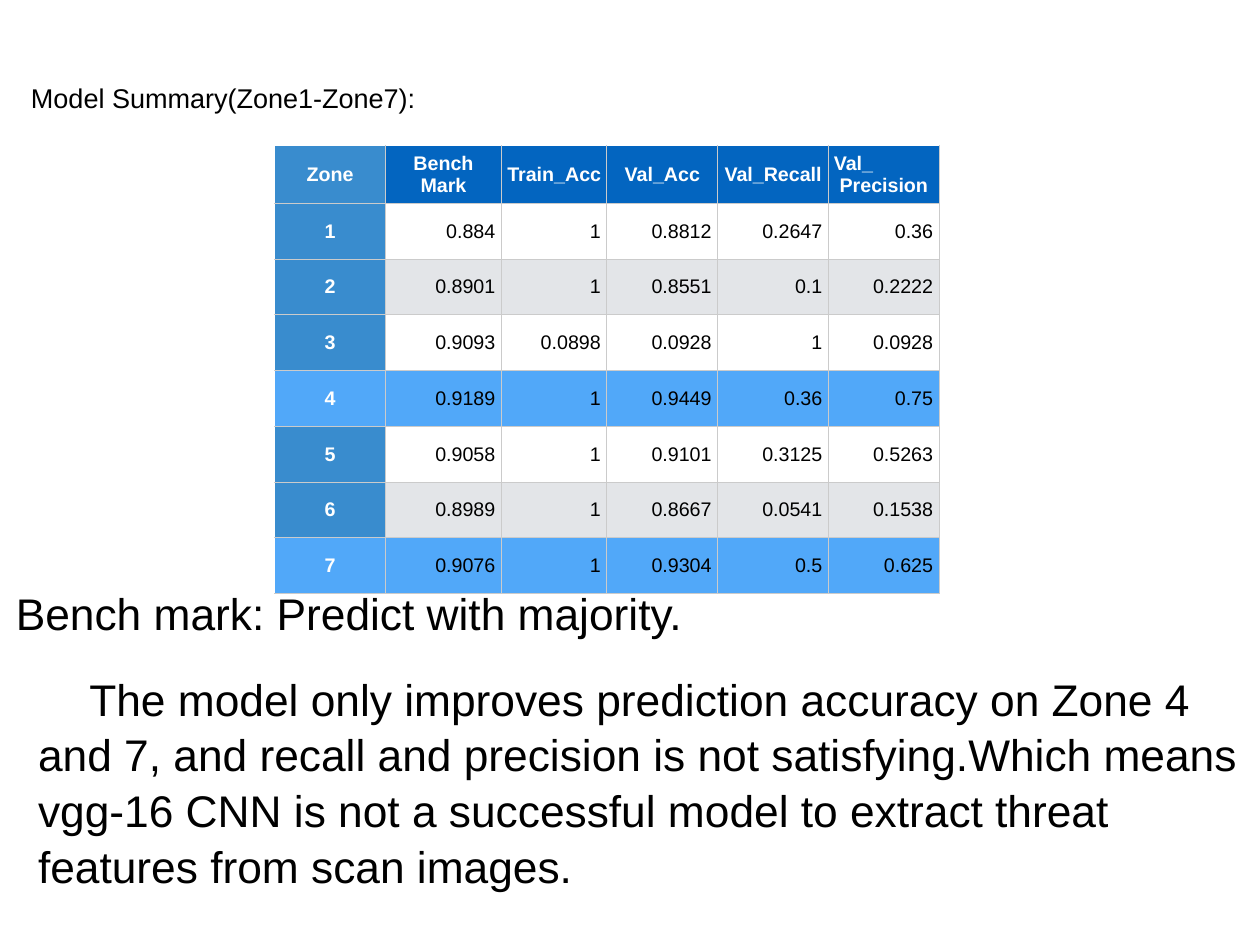
from lxml import etree
from pptx import Presentation, util as u
from pptx.dml.color import RGBColor
from pptx.enum.text import MSO_ANCHOR, PP_ALIGN
from pptx.oxml import ns

WIDE, HIGH = 14.22, 10.67
FONT = "Arial"
BLACK, WHITE, GRAY = "000000", "FFFFFF", "E3E5E8"
NAVY, BLUE, LIGHT, RULE = "0365C0", "398CCE", "51A8F9", "CBCBCB"
LEFT, MID, RIGHT = PP_ALIGN.LEFT, PP_ALIGN.CENTER, PP_ALIGN.RIGHT
BEST = (4, 7)
SHARES = (1.25, 1.31, 1.19, 1.25, 1.25, 1.25)
HEADS = ("Zone", "Bench Mark", "Train_Acc", "Val_Acc", "Val_Recall",
         "Val_\nPrecision")
SCORES = (
    ("1", "0.884", "1", "0.8812", "0.2647", "0.36"),
    ("2", "0.8901", "1", "0.8551", "0.1", "0.2222"),
    ("3", "0.9093", "0.0898", "0.0928", "1", "0.0928"),
    ("4", "0.9189", "1", "0.9449", "0.36", "0.75"),
    ("5", "0.9058", "1", "0.9101", "0.3125", "0.5263"),
    ("6", "0.8989", "1", "0.8667", "0.0541", "0.1538"),
    ("7", "0.9076", "1", "0.9304", "0.5", "0.625"),
)


def color(code):
    """Turn a hex string into a colour."""
    return RGBColor.from_string(code)


def place(left, top, width, height):
    """Turn percentages of the slide into lengths."""
    return [u.Inches(part * side / 100) for part, side in
            ((left, WIDE), (top, HIGH), (width, WIDE), (height, HIGH))]


def pad(item, side, ends):
    """Set the inner margins of a text frame or cell, in inches."""
    item.margin_left = item.margin_right = u.Inches(side)
    item.margin_top = item.margin_bottom = u.Inches(ends)


def style(para, size, code, align, bold=False):
    """Format one paragraph."""
    para.alignment = align
    font = para.font
    font.name, font.size, font.bold = FONT, u.Pt(size), bold
    font.color.rgb = color(code)


def add_text(slide, spot, size, lines, wrap=True, lead=1.0):
    """Add a text box from (line, alignment) pairs and return its frame."""
    frame = slide.shapes.add_textbox(*place(*spot)).text_frame
    frame.word_wrap = wrap
    frame.vertical_anchor = MSO_ANCHOR.MIDDLE
    pad(frame, 0.06, 0.06)
    frame.text = "\n".join(line for line, _ in lines)
    for para, (_, align) in zip(frame.paragraphs, lines):
        style(para, size, BLACK, align)
        para.line_spacing = lead
    return frame


def rule(cell, sides):
    """Draw thin borders on the given sides of a cell."""
    props = cell._tc.get_or_add_tcPr()
    for side in sides:
        line = etree.SubElement(props, ns.qn("a:ln" + side), w=str(u.Pt(1)))
        fill = etree.SubElement(line, ns.qn("a:solidFill"))
        etree.SubElement(fill, ns.qn("a:srgbClr"), val=RULE)


def tint(row, col):
    """Choose the fill of a cell."""
    if row in BEST:
        return LIGHT
    if col == 0:
        return BLUE
    if row == 0:
        return NAVY
    return WHITE if row % 2 else GRAY


def add_scores(slide, spot):
    """Add the table of scores for each zone."""
    rows = (HEADS,) + SCORES
    left, top, width, height = place(*spot)
    table = slide.shapes.add_table(len(rows), len(HEADS), left, top,
                                   width, height).table
    table.first_row = table.horz_banding = False
    for column, share in zip(table.columns, SHARES):
        column.width = int(width * share / sum(SHARES))
    for row, values in enumerate(rows):
        for col, value in enumerate(values):
            cell = table.cell(row, col)
            label = row == 0 or col == 0
            pad(cell, *((0.06, 0.06) if label else (0.07, 0)))
            cell.vertical_anchor = MSO_ANCHOR.MIDDLE
            rule(cell, ("L" if col else "") + "R" + ("T" if row else "") + "B")
            cell.fill.solid()
            cell.fill.fore_color.rgb = color(tint(row, col))
            cell.text = value
            for para in cell.text_frame.paragraphs:
                style(para, 16, WHITE if label else BLACK,
                      MID if label else RIGHT, label)
            if "\n" in value:
                cell.text_frame.paragraphs[0].alignment = LEFT


def main():
    """Build and save the slide."""
    deck = Presentation()
    deck.slide_width, deck.slide_height = u.Inches(WIDE), u.Inches(HIGH)
    slide = deck.slides.add_slide(deck.slide_layouts[6])
    title = add_text(slide, (2.04, 6.37, 78.48, 11.15), 22,
                     [("Model Summary(Zone1-Zone7):", LEFT)])
    title.margin_bottom = u.Inches(0.41)
    add_scores(slide, (21.8, 15.4, 52.75, 47.2))
    add_text(slide, (0.7, 61.5, 54, 6.65), 36,
             [("Bench mark: Predict with majority.", MID)], wrap=False)
    add_text(slide, (2.6, 68.1, 96.35, 29.05), 36, [
        ("The model only improves prediction accuracy on Zone 4", MID),
        ("and 7, and recall and precision is not satisfying.Which means", LEFT),
        ("vgg-16 CNN is not a successful model to extract threat "
         "features from scan images.", LEFT),
    ], lead=1.05)
    deck.save("out.pptx")


main()
